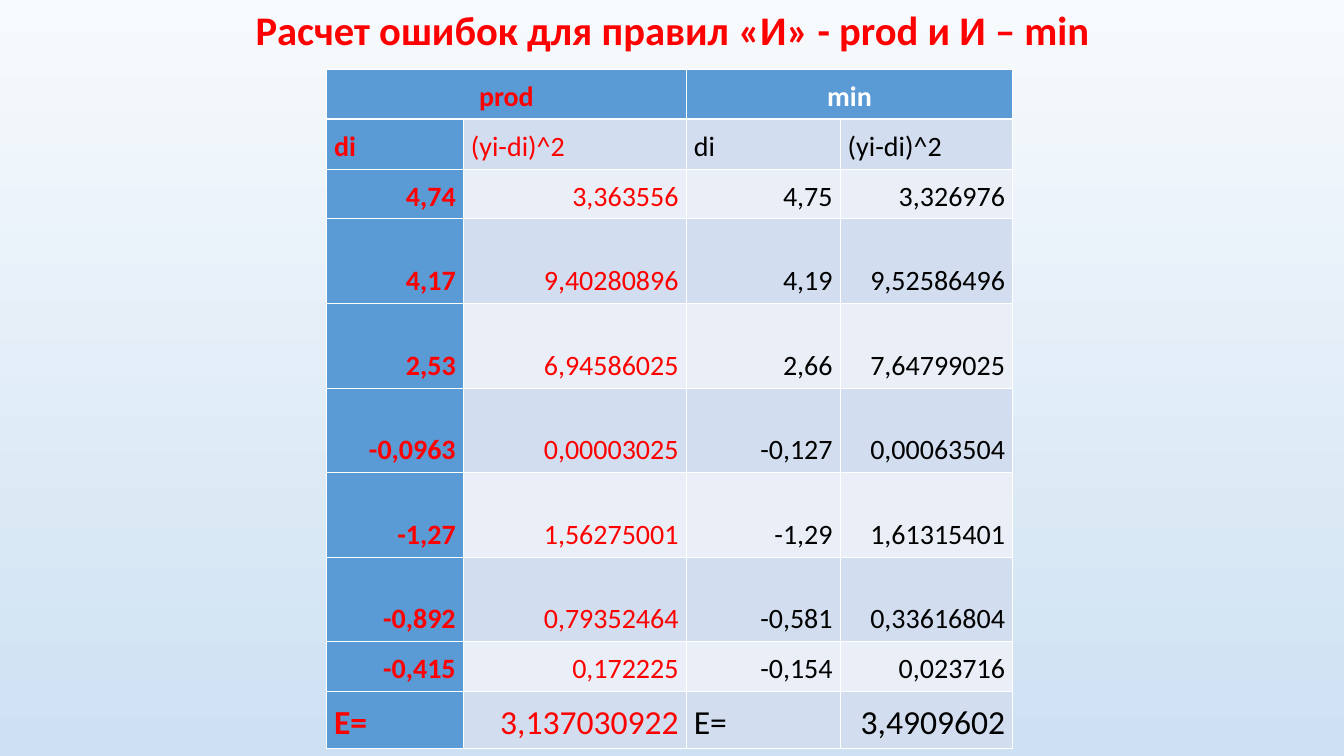
from lxml.etree import SubElement
from pptx import Presentation
from pptx.dml.color import RGBColor
from pptx.enum.text import MSO_ANCHOR as Anchor, MSO_AUTO_SIZE as AutoSize, PP_ALIGN as Align
from pptx.oxml.ns import qn
from pptx.util import Cm, Pt

RED = RGBColor(0xFF, 0x00, 0x00)
WHITE = RGBColor(0xFF, 0xFF, 0xFF)
BLACK = RGBColor(0x00, 0x00, 0x00)
HEADER_BLUE = RGBColor(0x5B, 0x9B, 0xD5)
BAND_DARK = RGBColor(0xD2, 0xDE, 0xEF)
BAND_LIGHT = RGBColor(0xEA, 0xEF, 0xF7)
SKY_TOP = RGBColor(0xF7, 0xFA, 0xFD)
SKY_BOTTOM = RGBColor(0xCE, 0xE1, 0xF2)

FONT = "Calibri"
COLUMN_WIDTHS = (3.45, 5.62, 3.88, 4.35)
LOW_ROW, TALL_ROW = 1.2, 2.13
TALL_ROWS = range(3, 8)
THIN_LINE, HEADER_LINE = Pt(0.45), Pt(1.47)

ERROR_ROWS = (
    ("prod", "", "min", ""),
    ("di", "(yi-di)^2", "di", "(yi-di)^2"),
    ("4,74", "3,363556", "4,75", "3,326976"),
    ("4,17", "9,40280896", "4,19", "9,52586496"),
    ("2,53", "6,94586025", "2,66", "7,64799025"),
    ("-0,0963", "0,00003025", "-0,127", "0,00063504"),
    ("-1,27", "1,56275001", "-1,29", "1,61315401"),
    ("-0,892", "0,79352464", "-0,581", "0,33616804"),
    ("-0,415", "0,172225", "-0,154", "0,023716"),
    ("E=", "3,137030922", "E=", "3,4909602"),
)
LAST_ROW = len(ERROR_ROWS) - 1


def paint_background(slide):
    fill = slide.background.fill
    fill.gradient()
    fill.gradient_angle = 270
    for stop, color in zip(fill.gradient_stops, (SKY_TOP, SKY_BOTTOM)):
        stop.color.rgb = color


def format_paragraph(paragraph, size, color, bold, alignment, line_spacing):
    paragraph.alignment = alignment
    paragraph.line_spacing = line_spacing
    for run in paragraph.runs:
        run.font.name = FONT
        run.font.size = Pt(size)
        run.font.bold = bold
        run.font.color.rgb = color


def fill_title(title, left, top, width, height):
    title.left, title.top, title.width, title.height = left, top, width, height
    text_frame = title.text_frame
    text_frame.text = "Расчет ошибок для правил «И» - prod и И – min"
    text_frame.auto_size = AutoSize.NONE
    text_frame.vertical_anchor = Anchor.MIDDLE
    format_paragraph(text_frame.paragraphs[0], 29, RED, True, Align.CENTER, 0.9)


def add_borders(cell, row):
    """Draw white cell borders, with a thicker line below the header row."""
    widths = {
        "a:lnL": THIN_LINE,
        "a:lnR": THIN_LINE,
        "a:lnT": HEADER_LINE if row == 1 else THIN_LINE,
        "a:lnB": HEADER_LINE if row == 0 else THIN_LINE,
    }
    properties = cell._tc.get_or_add_tcPr()
    for tag, width in widths.items():
        line = SubElement(properties, qn(tag), w=str(width))
        solid_fill = SubElement(line, qn("a:solidFill"))
        SubElement(solid_fill, qn("a:srgbClr"), val=str(WHITE))


def cell_alignment(row, column):
    if row == 0:
        return Align.CENTER
    is_label = row == 1 or (row == LAST_ROW and column % 2 == 0)
    return Align.LEFT if is_label else Align.RIGHT


def format_cell(cell, row, column, text):
    is_header = row == 0 or column == 0
    cell.text = text
    cell.vertical_anchor = Anchor.BOTTOM
    cell.margin_left = cell.margin_right = Cm(0.19)
    cell.margin_top = cell.margin_bottom = Cm(0.13)
    add_borders(cell, row)
    cell.fill.solid()
    band = BAND_DARK if row % 2 else BAND_LIGHT
    cell.fill.fore_color.rgb = HEADER_BLUE if is_header else band
    min_color = WHITE if row == 0 else BLACK
    format_paragraph(
        cell.text_frame.paragraphs[0],
        size=24 if row == LAST_ROW else 20,
        color=RED if column < 2 else min_color,
        bold=is_header,
        alignment=cell_alignment(row, column),
        line_spacing=1.15,
    )


def add_error_table(slide, left, top):
    heights = [TALL_ROW if row in TALL_ROWS else LOW_ROW for row in range(len(ERROR_ROWS))]
    table = slide.shapes.add_table(
        len(ERROR_ROWS), len(COLUMN_WIDTHS), left, top, Cm(sum(COLUMN_WIDTHS)), Cm(sum(heights))
    ).table
    for column, width in zip(table.columns, COLUMN_WIDTHS):
        column.width = Cm(width)
    for row, height in zip(table.rows, heights):
        row.height = Cm(height)
    for row, texts in enumerate(ERROR_ROWS):
        for column, text in enumerate(texts):
            format_cell(table.cell(row, column), row, column, text)
    for column in (0, 2):
        table.cell(0, column).merge(table.cell(0, column + 1))


def main():
    presentation = Presentation()
    presentation.slide_width, presentation.slide_height = Cm(33.88), Cm(19.05)
    slide = presentation.slides.add_slide(presentation.slide_layouts[5])
    paint_background(slide)
    fill_title(slide.shapes.title, Cm(2.36), Cm(0.23), Cm(29.21), Cm(1.17))
    add_error_table(slide, Cm(8.23), Cm(1.75))
    presentation.save("out.pptx")


if __name__ == "__main__":
    main()
